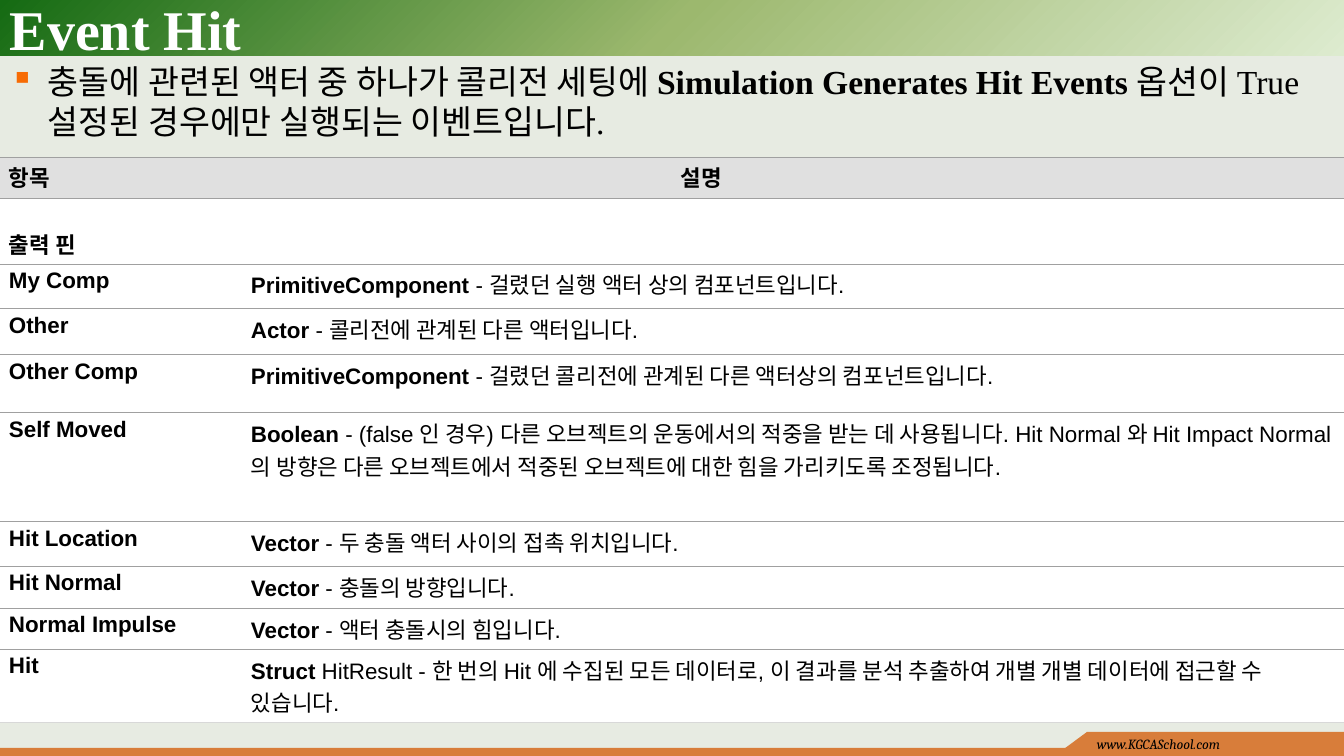
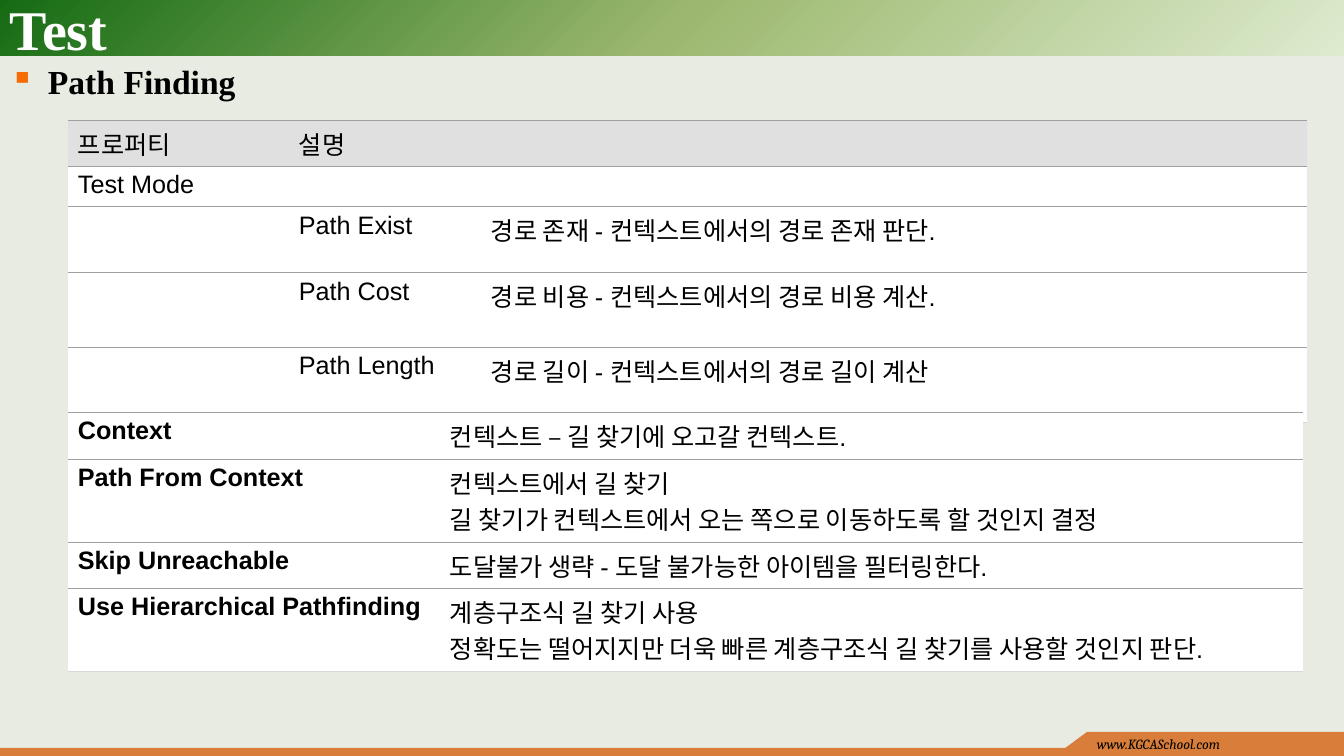
import itertools

import pptx
import pptx.dml.color
import pptx.enum.shapes
import pptx.enum.text
import pptx.oxml
import pptx.oxml.ns
import pptx.util
from lxml import etree

EMU_PER_PX = 914400 / 100.8
PAGE_W, PAGE_H = 1344, 756
BAND_H = 56
COLORS = {
    "background": "E7EBE2", "white": "FFFFFF", "black": "000000",
    "leaf": "DDEBCF", "moss": "9CB86E", "forest": "156B13",
    "footer": "D87D3A", "bullet": "F76B04",
    "header": "E0E0E0", "rule": "A0A0A0", "last_rule": "D8D8D8",
}
SERIF, SANS, FOOTER_FONT = "Times New Roman", "Arial", "Cambria"
ANCHOR = pptx.enum.text.MSO_ANCHOR
RECTANGLE = pptx.enum.shapes.MSO_SHAPE.RECTANGLE


def px(length):
    return pptx.util.Emu(round(length * EMU_PER_PX))


def rgb(name):
    return pptx.dml.color.RGBColor.from_string(COLORS[name])


def add_xml(parent, tag, **attributes):
    return etree.SubElement(parent, pptx.oxml.ns.qn(tag), **attributes)


def add_color(parent, name):
    add_xml(parent, "a:srgbClr", val=COLORS[name])


class Lecture:
    """Holds the deck, the current page and the shared style."""

    def __init__(self):
        self.deck = pptx.Presentation()
        self.deck.slide_width, self.deck.slide_height = px(PAGE_W), px(PAGE_H)
        self.page = None

    def add_page(self, title):
        self.page = self.deck.slides.add_slide(self.deck.slide_layouts[6])
        self.page.background.fill.solid()
        self.page.background.fill.fore_color.rgb = rgb("background")
        self.title_band()
        self.footer()
        self.text(0, 0, 851, BAND_H, (title,), 40, SERIF, "white", ANCHOR.MIDDLE)

    def paint(self, shape, color):
        shape.shadow.inherit = False
        shape.line.fill.background()
        shape.fill.solid()
        shape.fill.fore_color.rgb = rgb(color)

    def rectangle(self, x, y, w, h, color):
        box = self.page.shapes.add_shape(RECTANGLE, px(x), px(y), px(w), px(h))
        self.paint(box, color)
        return box

    def title_band(self):
        """Radial gradient spreading from the lower right corner."""
        band = self.rectangle(0, 0, PAGE_W, BAND_H, "moss")
        solid = band._element.spPr.find(pptx.oxml.ns.qn("a:solidFill"))
        gradient = pptx.oxml.parse_xml(
            f'<a:gradFill {pptx.oxml.ns.nsdecls("a")} rotWithShape="1"/>')
        stops = add_xml(gradient, "a:gsLst")
        for position, color in ((0, "leaf"), (50000, "moss"), (100000, "forest")):
            add_color(add_xml(stops, "a:gs", pos=str(position)), color)
        circle = add_xml(gradient, "a:path", path="circle")
        add_xml(circle, "a:fillToRect", l="100000", t="100000")
        solid.getparent().replace(solid, gradient)

    def footer(self):
        tab_x, tab_y, strip_y = 1087, 732, 748
        self.rectangle(0, strip_y, PAGE_W, PAGE_H - strip_y, "footer")
        self.rectangle(tab_x, tab_y, PAGE_W - tab_x, 17, "footer")
        outline = self.page.shapes.build_freeform(tab_x - 23, strip_y + 1, EMU_PER_PX)
        outline.add_line_segments([(tab_x, strip_y + 1), (tab_x, tab_y)])
        self.paint(outline.convert_to_shape(), "footer")
        frame = self.text(tab_x, 731, PAGE_W - tab_x, 25, "www.KGCASchool.com",
                          10, FOOTER_FONT)
        frame.paragraphs[0].runs[0].font.italic = True

    def set_text(self, frame, content, size, font, color="black"):
        """A string is plain; a tuple alternates bold and plain runs."""
        if isinstance(content, str):
            frame.text = content
        else:
            for index, words in enumerate(content):
                if words:
                    span = frame.paragraphs[0].add_run()
                    span.text = words
                    span.font.bold = index % 2 == 0
        for para in frame.paragraphs:
            para.font.size = pptx.util.Pt(size)
            for span in para.runs:
                span.font.size = pptx.util.Pt(size)
                span.font.name = font
                span.font.color.rgb = rgb(color)

    def text(self, x, y, w, h, content, size, font, color="black",
             anchor=ANCHOR.TOP):
        frame = self.page.shapes.add_textbox(px(x), px(y), px(w), px(h)).text_frame
        frame.word_wrap = True
        frame.vertical_anchor = anchor
        self.set_text(frame, content, size, font, color)
        return frame

    def bullet(self, height, content):
        box = self.page.shapes.add_textbox(0, px(BAND_H), px(PAGE_W), px(height))
        box.text_frame.word_wrap = True
        properties = box.text_frame.paragraphs[0]._p.get_or_add_pPr()
        properties.set("marL", str(px(38)))
        properties.set("indent", str(px(-38)))
        add_color(add_xml(properties, "a:buClr"), "bullet")
        add_xml(properties, "a:buChar", char="▪")
        self.set_text(box.text_frame, content, 24, SERIF)

    def cell_rules(self, cell, bottom):
        """Thin rules above and below, none at the sides."""
        properties = cell._tc.get_or_add_tcPr()
        sides = (("a:lnL", None), ("a:lnR", None), ("a:lnT", "rule"), ("a:lnB", bottom))
        for index, (tag, color) in enumerate(sides):
            line = add_xml(properties, tag, w=str(pptx.util.Pt(0.75)))
            if color:
                add_color(add_xml(line, "a:solidFill"), color)
            else:
                add_xml(line, "a:noFill")
            properties.insert(index, line)

    def table(self, x, y, widths, heights, rows, size, margins=(10, 5), header=True):
        """None in a row extends the cell to its left."""
        table = self.page.shapes.add_table(
            len(rows), len(widths), px(x), px(y),
            px(sum(widths)), px(sum(heights))).table
        table.first_row = table.horz_banding = False
        for column, width in zip(table.columns, widths):
            column.width = px(width)
        for row, height in zip(table.rows, heights):
            row.height = px(height)
        for r, row in enumerate(rows):
            bottom = "last_rule" if r == len(rows) - 1 else "rule"
            for c, content in enumerate(row):
                cell = table.cell(r, c)
                cell.margin_left = cell.margin_right = px(margins[0])
                cell.margin_top = cell.margin_bottom = px(margins[1])
                cell.fill.solid()
                cell.fill.fore_color.rgb = rgb("header" if header and r == 0 else "white")
                self.cell_rules(cell, bottom)
                if content is None:
                    continue
                self.set_text(cell.text_frame, content, size, SANS)
                extra = len(list(itertools.takewhile(lambda item: item is None, row[c + 1:])))
                if extra:
                    cell.merge(table.cell(r, c + extra))
        return table


def event_hit(lecture):
    lecture.add_page("Event Hit")
    lecture.bullet(100, (
        "", "충돌에 관련된 액터 중 하나가 콜리전 세팅에 ",
        "Simulation Generates Hit Events",
        " 옵션이 True 설정된 경우에만 실행되는 이벤트입니다."))
    pins = [
        ("My Comp", "PrimitiveComponent ", "- 걸렸던 실행 액터 상의 컴포넌트입니다."),
        ("Other", "Actor ", "- 콜리전에 관계된 다른 액터입니다."),
        ("Other Comp", "PrimitiveComponent ",
         "- 걸렸던 콜리전에 관계된 다른 액터상의 컴포넌트입니다."),
        ("Self Moved", "Boolean ",
         "- (false 인 경우) 다른 오브젝트의 운동에서의 적중을 받는 데 사용됩니다. "
         "Hit Normal 와 Hit Impact Normal 의 방향은 다른 오브젝트에서 적중된 "
         "오브젝트에 대한 힘을 가리키도록 조정됩니다."),
        ("Hit Location", "Vector ", "- 두 충돌 액터 사이의 접촉 위치입니다."),
        ("Hit Normal", "Vector ", "- 충돌의 방향입니다."),
        ("Normal Impulse", "Vector ", "- 액터 충돌시의 힘입니다."),
        ("Hit", "Struct ",
         "HitResult - 한 번의 Hit 에 수집된 모든 데이터로, 이 결과를 분석 추출하여 "
         "개별 개별 데이터에 접근할 수 있습니다."),
    ]
    rows = [[("항목",), None, ("설명",)], [("출력 핀",), None, None]]
    rows += [[(name,), (kind, meaning), None] for name, kind, meaning in pins]
    table = lecture.table(0, 157, (242, 430, 672),
                          (41, 66, 45, 46, 58, 109, 45, 42, 41, 73),
                          rows, 16, margins=(9, 4))
    table.cell(1, 0).vertical_anchor = ANCHOR.BOTTOM


def path_finding(lecture):
    lecture.add_page("Test")
    lecture.bullet(60, ("Path Finding",))
    lecture.table(68, 120, (221, 192, 826), (46, 39, 66, 75, 75), [
        ["프로퍼티", "설명", ""],
        ["Test Mode", "", ""],
        ["", "Path Exist", "경로 존재 - 컨텍스트에서의 경로 존재 판단."],
        ["", "Path Cost", "경로 비용 - 컨텍스트에서의 경로 비용 계산."],
        ["", "Path Length", "경로 길이 - 컨텍스트에서의 경로 길이 계산"],
    ], 18)
    lecture.table(68, 412, (372, 863), (47, 83, 46, 83), [
        [("Context",), "컨텍스트 – 길 찾기에 오고갈 컨텍스트."],
        [("Path From Context",),
         "컨텍스트에서 길 찾기\n"
         "길 찾기가 컨텍스트에서 오는 쪽으로 이동하도록 할 것인지 결정"],
        [("Skip Unreachable",), "도달불가 생략 - 도달 불가능한 아이템을 필터링한다."],
        [("Use Hierarchical Pathfinding",),
         "계층구조식 길 찾기 사용\n"
         "정확도는 떨어지지만 더욱 빠른 계층구조식 길 찾기를 사용할 것인지 판단."],
    ], 18, header=False)


def main():
    lecture = Lecture()
    event_hit(lecture)
    path_finding(lecture)
    lecture.deck.save("out.pptx")


if __name__ == "__main__":
    main()
